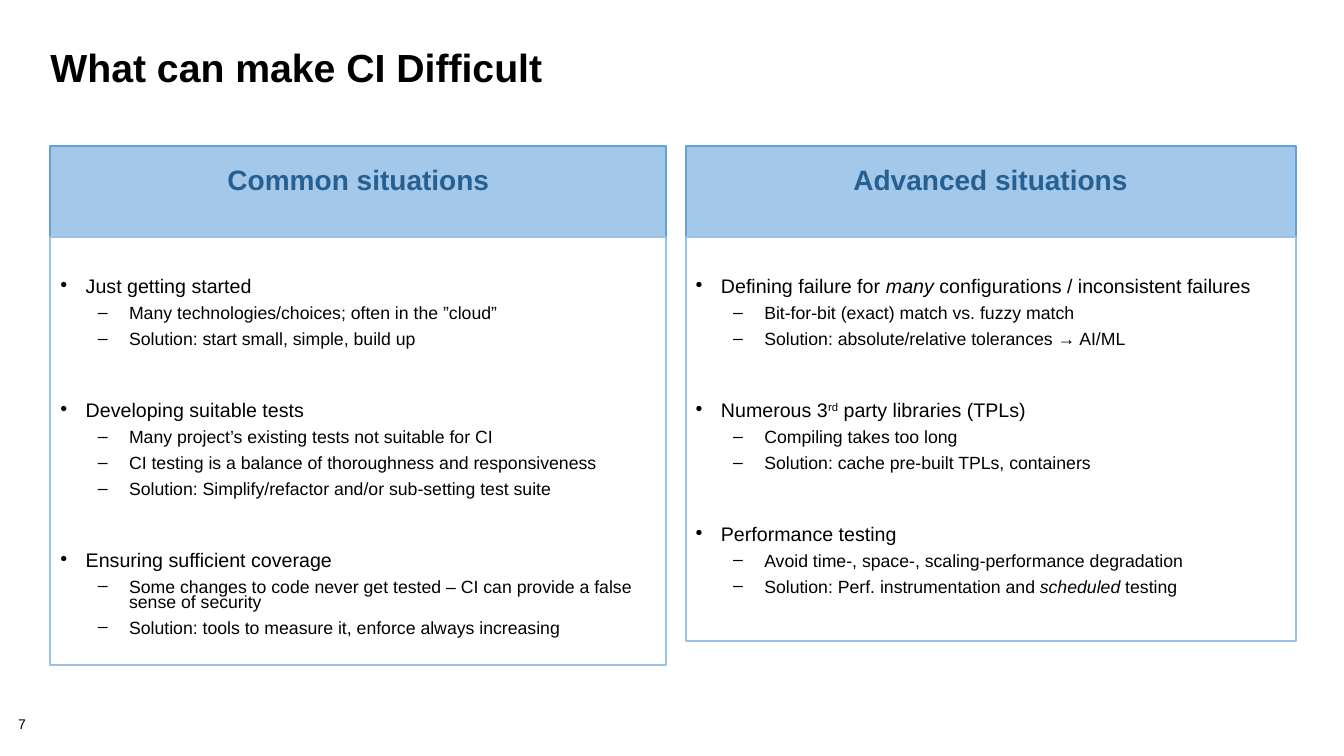
from dataclasses import dataclass

from lxml import etree
from pptx import Presentation
from pptx.dml.color import RGBColor
from pptx.enum.text import MSO_ANCHOR, MSO_AUTO_SIZE, PP_ALIGN
from pptx.oxml.ns import qn
from pptx.util import Inches, Pt

LEFT, CENTER = PP_ALIGN.LEFT, PP_ALIGN.CENTER
TOP, BOTTOM = MSO_ANCHOR.TOP, MSO_ANCHOR.BOTTOM
NO_FIT = MSO_AUTO_SIZE.NONE
COMPARISON_LAYOUT = 4


@dataclass(frozen=True)
class Theme:
    font: str = "Arial"
    text: str = "000000"
    header_text: str = "266093"
    header_fill: str = "A3C8EA"
    header_line: str = "64A1D7"
    body_line: str = "98C1E8"
    title_size: float = 28
    header_size: float = 20
    topic_size: float = 14
    detail_size: float = 12.6
    number_size: float = 10
    line_width: float = 1.5


THEME = Theme()

# Bullet, left margin, hanging indent, size and space before for each level
LEVELS = [
    dict(bullet="•", margin=0.25, hang=0.25, size=THEME.topic_size, before=39.5),
    dict(bullet="–", margin=0.68, hang=0.31, size=THEME.detail_size, before=8),
]

# Each topic is followed by its details; a span is text or (text, style)
COMMON = [
    ("Just getting started", [
        "Many technologies/choices; often in the ”cloud”",
        "Solution: start small, simple, build up"]),
    ("Developing suitable tests", [
        "Many project’s existing tests not suitable for CI",
        "CI testing is a balance of thoroughness and responsiveness",
        "Solution: Simplify/refactor and/or sub-setting test suite"]),
    ("Ensuring sufficient coverage", [
        "Some changes to code never get tested – CI can provide a false sense of security",
        "Solution: tools to measure it, enforce always increasing"]),
]
ADVANCED = [
    (["Defining failure for ", ("many", "italic"),
      " configurations / inconsistent failures"], [
        "Bit-for-bit (exact) match vs. fuzzy match",
        "Solution: absolute/relative tolerances → AI/ML"]),
    (["Numerous 3", ("rd", "superscript"), " party libraries (TPLs)"], [
        "Compiling takes too long",
        "Solution: cache pre-built TPLs, containers"]),
    ("Performance testing", [
        "Avoid time-, space-, scaling-performance degradation",
        ["Solution: Perf. instrumentation and ", ("scheduled", "italic"), " testing"]]),
]


def write(para, text, size, color=THEME.text, bold=False, align=LEFT,
          spacing=0.9, before=0, level=0, bullet=None, margin=0, hang=0):
    """Fill a paragraph with a string or a list of styled spans."""
    para.level = level
    para.alignment = align
    para.line_spacing = spacing
    para.space_before = Pt(before)
    para.space_after = Pt(0)
    properties = para._p.get_or_add_pPr()
    properties.set("marL", str(Inches(margin)))
    properties.set("indent", str(-Inches(hang)))
    if bullet:
        etree.SubElement(properties, qn("a:buChar")).set("char", bullet)
    else:
        etree.SubElement(properties, qn("a:buNone"))
    for part in [text] if isinstance(text, str) else text:
        words, style = (part, None) if isinstance(part, str) else part
        span = para.add_run()
        span.text = words
        span.font.name = THEME.font
        span.font.size = Pt(size)
        span.font.bold = bold
        span.font.color.rgb = RGBColor.from_string(color)
        if style == "italic":
            span.font.italic = True
        elif style == "superscript":
            span._r.get_or_add_rPr().set("baseline", "30000")


def place(box, left, top, width, height, anchor=TOP, insets=(0.1, 0.05, 0.1, 0.05)):
    """Position a box and prepare its text frame."""
    box.left, box.top = Inches(left), Inches(top)
    box.width, box.height = Inches(width), Inches(height)
    frame = box.text_frame
    frame.word_wrap = True
    frame.auto_size = NO_FIT
    frame.vertical_anchor = anchor
    (frame.margin_left, frame.margin_top,
     frame.margin_right, frame.margin_bottom) = map(Inches, insets)
    return frame


def outline(box, line, fill=None):
    box.line.color.rgb = RGBColor.from_string(line)
    box.line.width = Pt(THEME.line_width)
    if fill:
        box.fill.solid()
        box.fill.fore_color.rgb = RGBColor.from_string(fill)


def add_header(box, text, left, width):
    frame = place(box, left, 1.45, width, 0.9, BOTTOM, (0.1, 0.05, 0.1, 0.4))
    outline(box, THEME.header_line, THEME.header_fill)
    write(frame.paragraphs[0], text, THEME.header_size, THEME.header_text,
          bold=True, align=CENTER)


def add_topics(box, topics, left, width, height):
    frame = place(box, left, 2.35, width, height, insets=(0.1, 0.43, 0.1, 0.05))
    outline(box, THEME.body_line)
    lines = [(level, text) for topic, details in topics
             for level, text in [(0, topic)] + [(1, detail) for detail in details]]
    for index, (level, text) in enumerate(lines):
        para = frame.add_paragraph() if index else frame.paragraphs[0]
        look = dict(LEVELS[level])
        if index == 0:
            look["before"] = 0
        write(para, text, level=level, spacing=0.7, **look)


def main():
    deck = Presentation()
    deck.slide_width, deck.slide_height = Inches(13.33), Inches(7.5)
    page = deck.slides.add_slide(deck.slide_layouts[COMPARISON_LAYOUT])
    title, left_header, left_body, right_header, right_body = page.placeholders

    # Title
    frame = place(title, 0.4, 0.45, 12.44, 1)
    write(frame.paragraphs[0], "What can make CI Difficult", THEME.title_size,
          bold=True, spacing=0.85)

    # Two columns
    columns = [
        (left_header, left_body, "Common situations", COMMON, 0.5, 6.11, 4.25),
        (right_header, right_body, "Advanced situations", ADVANCED, 6.8, 6.05, 4.01),
    ]
    for header, body, heading, topics, left, width, height in columns:
        add_header(header, heading, left, width)
        add_topics(body, topics, left, width, height)

    # Page number
    number = page.shapes.add_textbox(0, 0, 0, 0)
    frame = place(number, 0.18, 7.12, 0.56, 0.16, insets=(0, 0, 0, 0))
    write(frame.paragraphs[0], "7", THEME.number_size)

    deck.save("out.pptx")


if __name__ == "__main__":
    main()
